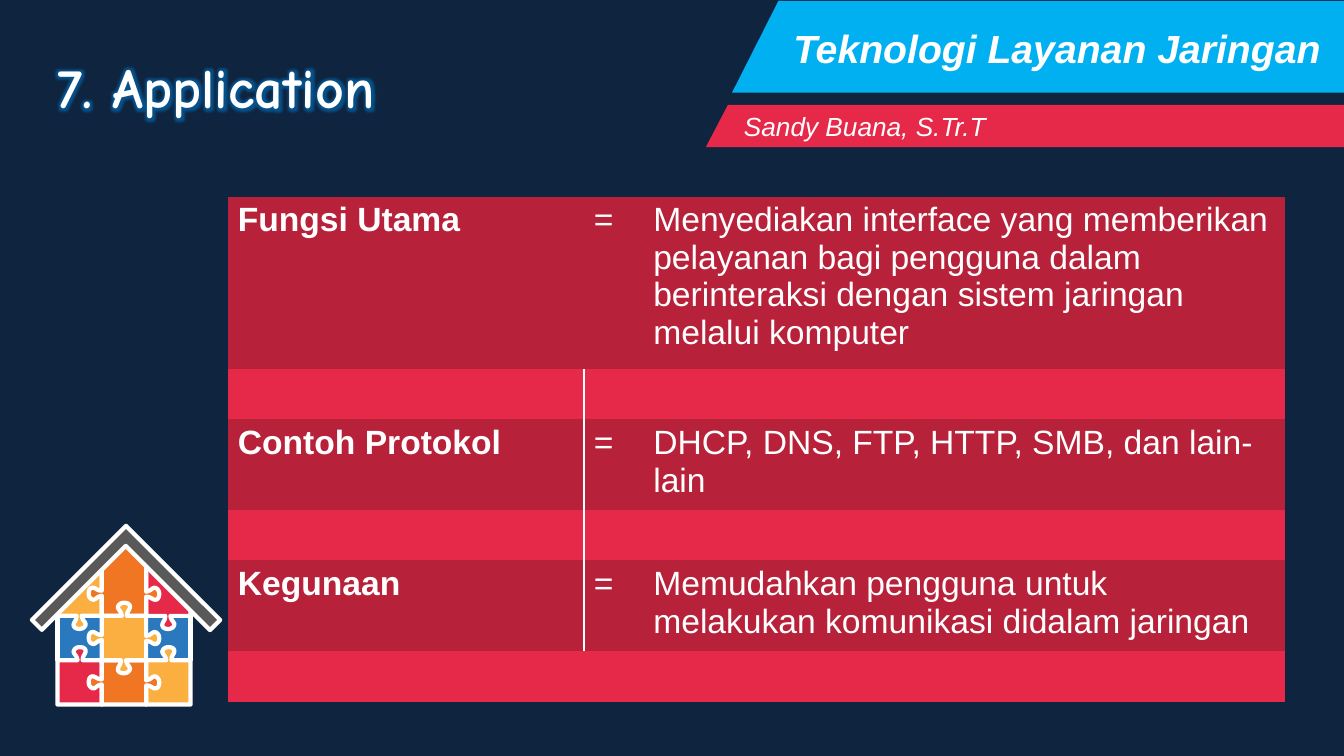
import pptx
import pptx.util
import pptx.dml.color
import pptx.enum.shapes
import pptx.enum.text
import pptx.oxml
import pptx.oxml.ns

Inches = pptx.util.Inches
SHAPE = pptx.enum.shapes.MSO_SHAPE
HEX = {
    "navy": "0F243E", "white": "FFFFFF", "red": "E62949", "dark": "B8213A",
    "sky": "00B0F0", "blue": "2A78BD", "gold": "FAAF40", "orange": "F07624",
    "gray": "595959",
}
ROWS = [
    ("Fungsi Utama", "Menyediakan interface yang memberikan pelayanan bagi pengguna "
     "dalam berinteraksi dengan sistem jaringan melalui komputer", 1.71),
    ("Contoh Protokol", "DHCP, DNS, FTP, HTTP, SMB, dan lain-lain", 0.9),
    ("Kegunaan", "Memudahkan pengguna untuk melakukan komunikasi didalam jaringan", 0.9),
]
GAP = 0.5
COLS = [3.53, 0.59, 6.37]
TABLE = (2.26, 1.95)
NS = 'xmlns:a="http://schemas.openxmlformats.org/drawingml/2006/main"'
GLOW = (f'<a:effectLst {NS}><a:glow rad="101600"><a:srgbClr val="0070C0">'
        '<a:alpha val="60000"/></a:srgbClr></a:glow></a:effectLst>')
SHADE = (f'<a:effectLst {NS}><a:outerShdw blurRad="38100" dist="38100" dir="2700000">'
         '<a:srgbClr val="000000"><a:alpha val="50000"/></a:srgbClr></a:outerShdw></a:effectLst>')
TITLES = [
    ("7. Application", (0.47, 0.55, 6.17, 0.79),
     dict(size=40, font="Comic Neue", bold=True, effect=GLOW, lead=0.9, above=10)),
    ("Teknologi Layanan Jaringan", (7.77, 0.19, 5.47, 0.57),
     dict(size=28, bold=True, slant=True, effect=SHADE, mid=True)),
    ("Sandy Buana, S.Tr.T", (7.28, 1.04, 5.22, 0.42),
     dict(size=18.7, slant=True, effect=SHADE, mid=True)),
]
BANDS = [
    ("red", [(7.22, 1.04), (13.35, 1.04), (13.35, 1.46), (7, 1.46)]),
    ("sky", [(7.72, 0.01), (13.35, 0.01), (13.35, 0.92), (7.26, 0.92)]),
]

# House grid: three columns and two rows of square pieces under the roof
SIDE = 0.44
X = [0.57 + SIDE * i for i in range(4)]
Y = [6.11 + SIDE * i for i in range(3)]
PEAK = (X[1] + X[2]) / 2


def square(col, row):
    """Corners clockwise from the top left."""
    return [(X[col], Y[row]), (X[col + 1], Y[row]),
            (X[col + 1], Y[row + 1]), (X[col], Y[row + 1])]


# Colour, corners clockwise, and the edges that carry a knob
PIECES = [
    ("blue", square(0, 0), ()),
    ("blue", square(2, 0), ()),
    ("red", square(0, 1), (0,)),
    ("gold", square(2, 1), (0,)),
    ("gold", [(X[0], 6.01), (X[1], 5.58), (X[1], Y[0]), (X[0], Y[0])], (2,)),
    ("red", [(X[2], 5.59), (X[3], 6.01), (X[3], Y[0]), (X[2], Y[0])], (2,)),
    ("orange", [(PEAK, 5.39), (X[2], 5.61), (X[2], 5.67), (X[2], Y[0]),
                (X[1], Y[0]), (X[1], 5.67), (X[1], 5.61)], (2, 4)),
    ("orange", square(1, 1), (1, 3)),
    ("gold", square(1, 0), (0, 1, 2, 3)),
]
# Knob curves as (along the edge, outward)
KNOB = [
    (-0.02, 0),
    (-0.03, 0.05), (-0.05, 0.05), (-0.06, 0.08),
    (-0.06, 0.11), (-0.03, 0.13), (0, 0.13),
    (0.03, 0.13), (0.06, 0.12), (0.06, 0.09),
    (0.06, 0.06), (0.03, 0.05), (0.03, 0),
]
STEPS = 6


def color(name):
    return pptx.dml.color.RGBColor.from_string(HEX[name])


def trace():
    """Turn the knob's Bezier curves into points."""
    dots = [KNOB[0]]
    for i in range(0, len(KNOB) - 1, 3):
        a, b, c, d = KNOB[i:i + 4]
        for t in (n / STEPS for n in range(1, STEPS + 1)):
            u = 1 - t
            dots.append(tuple(u**3 * a[k] + 3 * u * u * t * b[k] + 3 * u * t * t * c[k]
                              + t**3 * d[k] for k in (0, 1)))
    return dots


def outline(nodes, knobs):
    """Add a knob at the middle of each chosen edge."""
    dots = []
    for i, (x, y) in enumerate(nodes):
        dots.append((x, y))
        if i in knobs:
            p, q = nodes[(i + 1) % len(nodes)]
            span = ((p - x)**2 + (q - y)**2)**0.5
            dx, dy = (p - x) / span, (q - y) / span
            mx, my = (x + p) / 2, (y + q) / 2
            dots += [(mx + s * dx + h * dy, my + s * dy - h * dx) for s, h in trace()]
    return dots


def paint(shape, fill, edge=None):
    shape.shadow.inherit = False
    shape.fill.solid()
    shape.fill.fore_color.rgb = color(fill)
    if edge:
        shape.line.color.rgb = color(edge)
        shape.line.width = pptx.util.Pt(3)
    else:
        shape.line.fill.background()


def draw(shapes, dots, fill, edge=None):
    dots = [(Inches(x), Inches(y)) for x, y in dots]
    pen = shapes.build_freeform(*dots[0], scale=1.0)
    pen.add_line_segments(dots[1:], close=True)
    paint(pen.convert_to_shape(), fill, edge)


def write(frame, text, size=24, font="Arial", bold=False, slant=False,
          effect=None, lead=None, above=None, mid=False):
    frame.word_wrap = True
    if mid:
        frame.vertical_anchor = pptx.enum.text.MSO_ANCHOR.MIDDLE
    para = frame.paragraphs[0]
    if lead:
        para.line_spacing = lead
    if above:
        para.space_before = pptx.util.Pt(above)
    run = para.add_run()
    run.text = text
    face = run.font
    face.size, face.name = pptx.util.Pt(size), font
    face.bold, face.italic = bold, slant
    face.color.rgb = color("white")
    if effect:
        fill = run._r.get_or_add_rPr().find(pptx.oxml.ns.qn("a:solidFill"))
        fill.addnext(pptx.oxml.parse_xml(effect))


def house(slide):
    group = slide.shapes.add_group_shape()
    for fill, nodes, knobs in PIECES:
        draw(group.shapes, outline(nodes, knobs), fill, "white")
    roof = slide.shapes.add_shape(SHAPE.CORNER, *map(Inches, (0.59, 5.49, 1.32, 1.32)))
    roof.adjustments[0], roof.adjustments[1] = 0.105, 0.108
    roof.rotation = 135
    paint(roof, "gray", "white")


def table(slide):
    lines = []
    for label, text, high in ROWS:
        lines += [((label, "=", text), high, "dark"), (("", "", ""), GAP, "red")]
    size = (sum(COLS), sum(line[1] for line in lines))
    grid = slide.shapes.add_table(len(lines), len(COLS), *map(Inches, TABLE + size)).table
    grid.first_row = grid.horz_banding = False
    style = grid._tbl.tblPr.find(pptx.oxml.ns.qn("a:tableStyleId"))
    style.text = "{2D5ABB26-0587-4C30-8999-92F81FD0307C}"
    for col, wide in zip(grid.columns, COLS):
        col.width = Inches(wide)
    for r, (texts, high, fill) in enumerate(lines):
        grid.rows[r].height = Inches(high)
        for c, text in enumerate(texts):
            cell = grid.cell(r, c)
            cell.fill.solid()
            cell.fill.fore_color.rgb = color(fill)
            if text:
                write(cell.text_frame, text, bold=c == 0)
        if 0 < r < len(lines) - 1:
            rule = (f'<a:lnR {NS} w="25400"><a:solidFill><a:srgbClr val="{HEX["white"]}"/>'
                    '</a:solidFill></a:lnR>')
            grid.cell(r, 0)._tc.get_or_add_tcPr().insert(0, pptx.oxml.parse_xml(rule))


def main():
    deck = pptx.Presentation()
    deck.slide_width, deck.slide_height = Inches(13.33), Inches(7.5)
    slide = deck.slides.add_slide(deck.slide_layouts[6])
    slide.background.fill.solid()
    slide.background.fill.fore_color.rgb = color("navy")
    house(slide)
    for fill, dots in BANDS:
        draw(slide.shapes, dots, fill)
    for text, box, form in TITLES:
        write(slide.shapes.add_textbox(*map(Inches, box)).text_frame, text, **form)
    table(slide)
    deck.save("out.pptx")


if __name__ == "__main__":
    main()
